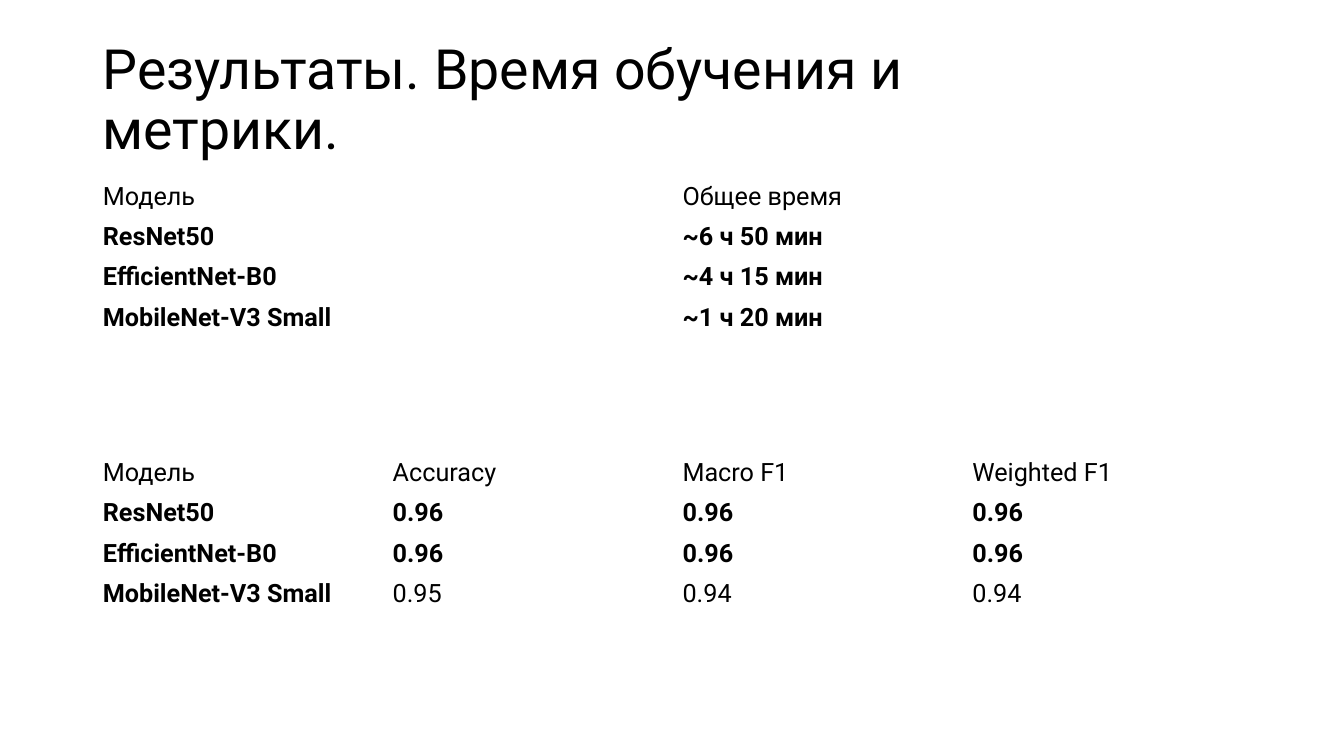
from pptx import Presentation
from pptx.dml.color import RGBColor
from pptx.enum.text import MSO_ANCHOR
from pptx.util import Inches, Pt

WIDE, HIGH = 13.33, 7.5
LEFT, SPAN = 0.92, 11.5
ROW = 0.39
BODY = {"name": "Roboto", "size": Pt(18), "bold": False}
HEAD = {"name": "Roboto", "size": Pt(39.6), "bold": False}

TITLE = "Результаты. Время обучения и метрики."
TIMES = [
    ["Модель", "Общее время"],
    ["ResNet50", "~6 ч 50 мин"],
    ["EfficientNet-B0", "~4 ч 15 мин"],
    ["MobileNet-V3 Small", "~1 ч 20 мин"],
]
SCORES = [
    ["Модель", "Accuracy", "Macro F1", "Weighted F1"],
    ["ResNet50", "0.96", "0.96", "0.96"],
    ["EfficientNet-B0", "0.96", "0.96", "0.96"],
    ["MobileNet-V3 Small", "0.95", "0.94", "0.94"],
]
BEST = "0.96"


def color(code):
    return RGBColor.from_string(code)


def style(font, form):
    for key, value in form.items():
        setattr(font, key, value)
    font.color.rgb = color("000000")


def add_title(slide, box, text):
    frame = slide.shapes.add_textbox(*map(Inches, box)).text_frame
    frame.word_wrap = True
    frame.vertical_anchor = MSO_ANCHOR.MIDDLE
    line = frame.paragraphs[0]
    line.line_spacing = 0.9
    run = line.add_run()
    run.text = text
    style(run.font, HEAD)


def is_bold(row, text):
    # Scores are bold only when they are the best
    return row > 0 and (not text.startswith("0.") or text == BEST)


def add_grid(slide, top, data):
    rows, cols = len(data), len(data[0])
    box = map(Inches, (LEFT, top, SPAN, ROW * rows))
    table = slide.shapes.add_table(rows, cols, *box).table
    table.first_row = table.horz_banding = False
    for r, words in enumerate(data):
        for c, text in enumerate(words):
            cell = table.cell(r, c)
            cell.fill.background()
            cell.vertical_anchor = MSO_ANCHOR.MIDDLE
            run = cell.text_frame.paragraphs[0].add_run()
            run.text = text
            style(run.font, BODY | {"bold": is_bold(r, text)})


def main():
    deck = Presentation()
    deck.slide_width, deck.slide_height = Inches(WIDE), Inches(HIGH)
    slide = deck.slides.add_slide(deck.slide_layouts[6])

    # Heading, training times, then metrics
    add_title(slide, (LEFT, 0.4, 9.73, 1.22), TITLE)
    add_grid(slide, 1.75, TIMES)
    add_grid(slide, 4.49, SCORES)
    deck.save("out.pptx")


if __name__ == "__main__":
    main()
